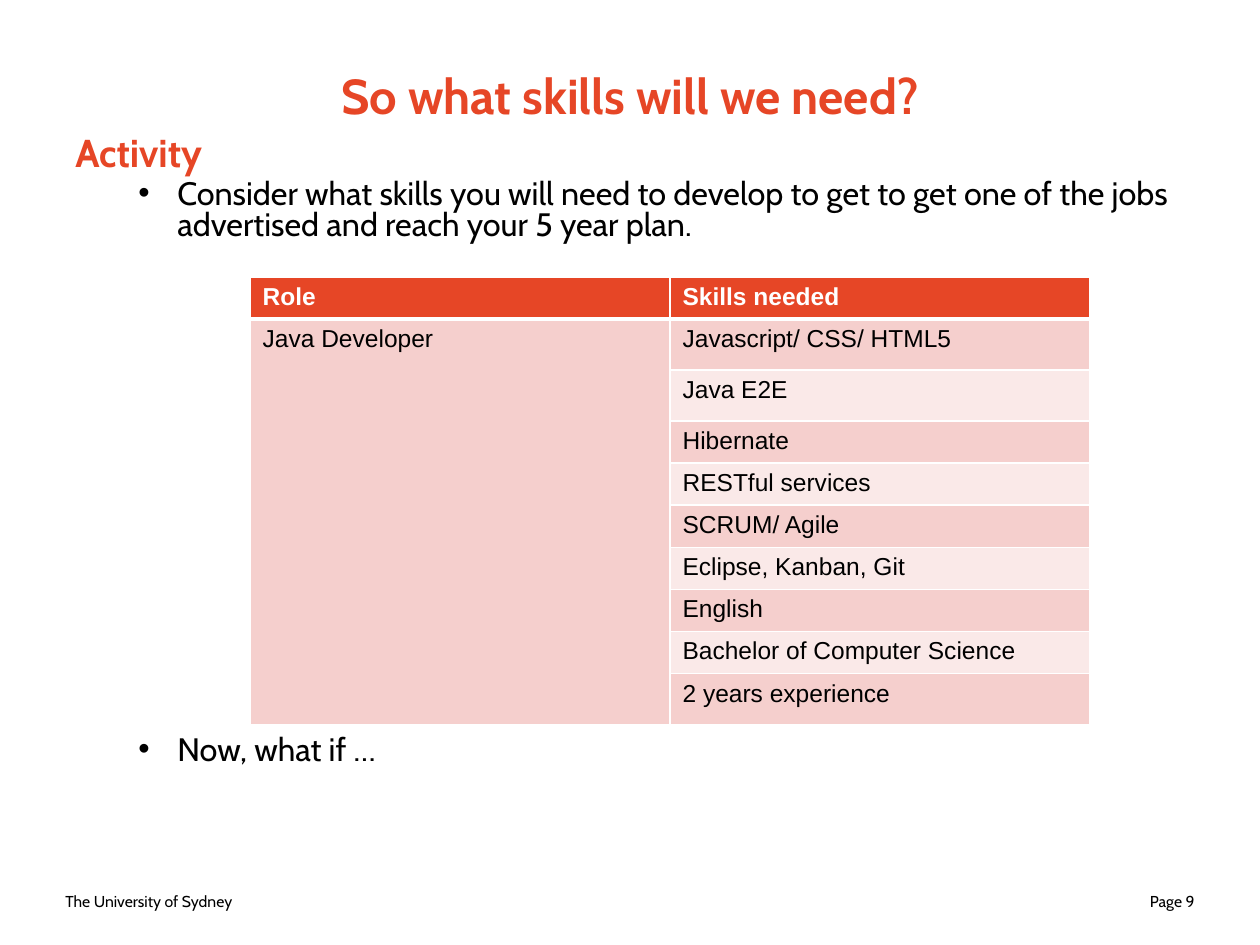
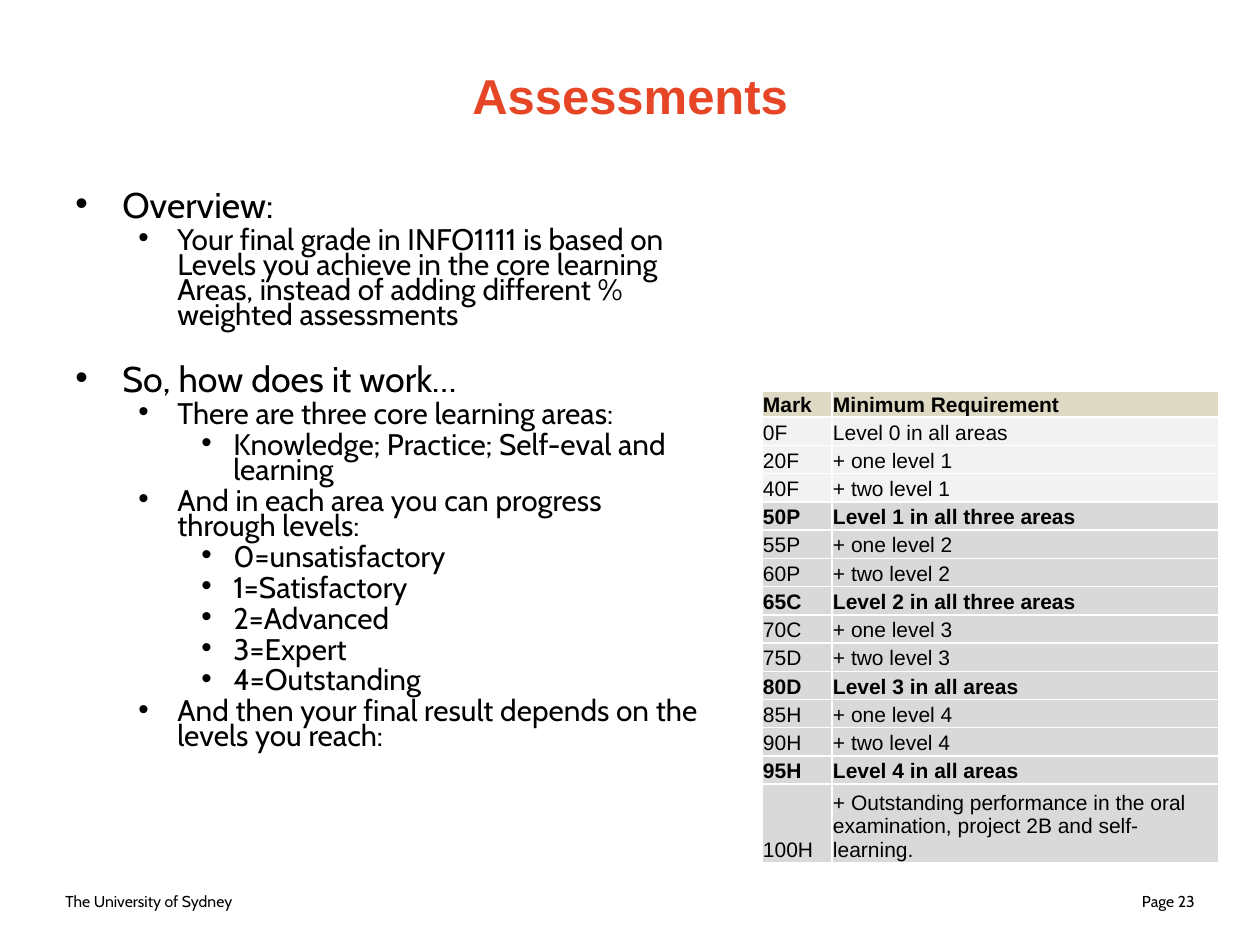
from lxml import etree
from pptx import Presentation, util as u
from pptx.dml.color import RGBColor
from pptx.enum import text
from pptx.oxml import ns

PX = 914400 / 126
RED, BLACK, WHITE = "E64626", "000000", "FFFFFF"
PINK, PALE_PINK = "F5CFCD", "FAE9E8"
SAND, PALE_GREY, GREY = "DDD9C3", "F2F2F2", "D9D9D9"
LEFT, CENTER, RIGHT = text.PP_ALIGN.LEFT, text.PP_ALIGN.CENTER, text.PP_ALIGN.RIGHT
TOP, MIDDLE, BOTTOM = text.MSO_ANCHOR.TOP, text.MSO_ANCHOR.MIDDLE, text.MSO_ANCHOR.BOTTOM

# Left margin and bullet hang of each list level, in px
INDENTS = [(47, 47), (102, 39), (158, 32)]


def px(length):
    return u.Emu(round(length * PX))


def color(value):
    return RGBColor.from_string(value)


def add_element(parent, tag, **attributes):
    element = etree.SubElement(parent, ns.qn(tag))
    for name, value in attributes.items():
        element.set(name, str(value))
    return element


class Deck:
    def __init__(self):
        self.presentation = Presentation()
        self.presentation.slide_width = px(1260)
        self.presentation.slide_height = px(945)
        self.slide = None

    def format(self, paragraph, size, tint=BLACK, bold=False, font="Cabin", align=LEFT):
        paragraph.alignment = align
        for run in paragraph.runs:
            run.font.size = u.Pt(size)
            run.font.name = font
            run.font.bold = bold
            run.font.color.rgb = color(tint)

    def new_slide(self, title, page, title_font="Cabin"):
        layout = self.presentation.slide_layouts.get_by_name("Title Only")
        self.slide = self.presentation.slides.add_slide(layout)
        shape = self.slide.shapes.title
        shape.left, shape.top, shape.width, shape.height = map(px, (63, 16, 1134, 158))
        shape.text_frame.text = title
        shape.text_frame.vertical_anchor = MIDDLE
        self.format(shape.text_frame.paragraphs[0], 28, RED, True, title_font, CENTER)
        # Footer
        self.footer(53, "The University of Sydney", LEFT)
        self.footer(914, f"Page {page}", RIGHT)

    def text_frame(self, left, top, width, height, anchor=TOP):
        box = self.slide.shapes.add_textbox(*map(px, (left, top, width, height)))
        box.text_frame.word_wrap = True
        box.text_frame.vertical_anchor = anchor
        return box.text_frame

    def footer(self, left, words, align):
        frame = self.text_frame(left, 876, 293, 50, MIDDLE)
        frame.text = words
        self.format(frame.paragraphs[0], 9, align=align)

    def outline(self, box, items, sizes, line_spacing, gaps):
        """Items are (level, words); level None is a heading without a bullet."""
        frame = self.text_frame(*box)
        for index, (level, words) in enumerate(items):
            paragraph = frame.paragraphs[0] if index == 0 else frame.add_paragraph()
            paragraph.text = words
            size = sizes[level or 0]
            if level is not None:
                self.bullet(paragraph, level)
            paragraph.line_spacing = line_spacing
            if index:
                paragraph.space_before = u.Pt(gaps.get(words, size * 0.2))
            heading = level is None
            self.format(paragraph, size, RED if heading else BLACK, heading)

    def bullet(self, paragraph, level):
        margin, hang = INDENTS[level]
        paragraph.level = level
        properties = paragraph._p.get_or_add_pPr()
        properties.set("marL", str(px(margin)))
        properties.set("indent", str(-px(hang)))
        add_element(properties, "a:buFont", typeface="Arial")
        add_element(properties, "a:buChar", char="•")

    def table(self, left, top, columns, heights, rows):
        frame = self.slide.shapes.add_table(len(rows), len(columns), px(left), px(top),
                                            px(sum(columns)), px(sum(heights)))
        table = frame.table
        table.first_row = table.horz_banding = False
        for column, width in zip(table.columns, columns):
            column.width = px(width)
        for row, height in zip(table.rows, heights):
            row.height = px(height)
        for row, values in zip(table.rows, rows):
            for cell, value in zip(row.cells, values):
                cell.text_frame.text = value
        return table

    def cell(self, cell, fill, size, tint=BLACK, bold=False, insets=None,
             anchor=TOP, top_line=1, bottom_line=1):
        properties = cell._tc.get_or_add_tcPr()
        for side, width in zip("LRTB", (1, 1, top_line, bottom_line)):
            line = add_element(properties, f"a:ln{side}", w=u.Pt(width))
            add_element(add_element(line, "a:solidFill"), "a:srgbClr", val=WHITE)
        cell.fill.solid()
        cell.fill.fore_color.rgb = color(fill)
        cell.vertical_anchor = anchor
        if insets:
            (cell.margin_left, cell.margin_top,
             cell.margin_right, cell.margin_bottom) = map(px, insets)
        self.format(cell.text_frame.paragraphs[0], size, tint, bold, "Arial")


def skills_slide(deck):
    deck.new_slide("So what skills will we need?", 9)
    last_point = "Now, what if …"
    deck.outline((63, 131, 1134, 732), [
        (None, "Activity"),
        (1, "Consider what skills you will need to develop to get to get one of the jobs "
            "advertised and reach your 5 year plan."),
        (1, last_point),
    ], sizes=[22.2, 18.5], line_spacing=0.8, gaps={last_point: 282})

    # Role and skills table
    skills = ["Javascript/ CSS/ HTML5", "Java E2E", "Hibernate", "RESTful services",
              "SCRUM/ Agile", "Eclipse, Kanban, Git", "English",
              "Bachelor of Computer Science", "2 years experience"]
    rows = [("Role", "Skills needed")]
    rows += [("" if index else "Java Developer", skill) for index, skill in enumerate(skills)]
    table = deck.table(250, 277, [420, 420], [40, 51, 51] + [40] * 6 + [51], rows)
    for index, row in enumerate(table.rows):
        for column, cell in enumerate(row.cells):
            if index == 0:
                deck.cell(cell, RED, 14, WHITE, True, bottom_line=3)
            else:
                fill = PINK if column == 0 or index % 2 else PALE_PINK
                deck.cell(cell, fill, 14, top_line=3 if index == 1 else 1)
    table.cell(1, 0).merge(table.cell(len(skills), 0))


def assessments_slide(deck):
    deck.new_slide("Assessments", 23, "Arial")
    question = "So, how does it work…"
    levels = ["unsatisfactory", "Satisfactory", "Advanced", "Expert", "Outstanding"]
    deck.outline((63, 188, 653, 634), [
        (0, "Overview:"),
        (1, "Your final grade in INFO1111 is based on Levels you achieve in the core learning "
            "Areas, instead of adding different % weighted assessments"),
        (0, question),
        (1, "There are three core learning areas:"),
        (2, "Knowledge; Practice; Self-eval and learning"),
        (1, "And in each area you can progress through levels:"),
        *[(2, f"{number}={name}") for number, name in enumerate(levels)],
        (1, "And then your final result depends on the levels you reach:"),
    ], sizes=[20.4, 17, 17], line_spacing=0.7, gaps={question: 21.8})

    # Mark table: each full level is followed by two partial steps
    marks = ["0F", "20F", "40F", "50P", "55P", "60P", "65C", "70C", "75D",
             "80D", "85H", "90H", "95H"]
    rows = [("Mark", "Minimum Requirement")]
    for index, mark in enumerate(marks):
        level, step = divmod(index, 3)
        if step:
            requirement = f"+ {('one', 'two')[step - 1]} level {level + 1}"
        else:
            areas = "all three areas" if level in (1, 2) else "all areas"
            requirement = f"Level {level} in {areas}"
        rows.append((mark, requirement))
    rows.append(("100H", "+ Outstanding performance in the oral examination, "
                         "project 2B and self-learning."))
    heights = [25] + [360 / len(marks)] * len(marks) + [75]
    table = deck.table(762, 391, [70, 387], heights, rows)
    for index, row in enumerate(table.rows):
        header = index == 0
        full_level = index > 1 and index % 3 == 1 and index <= len(marks)
        fill = SAND if header else PALE_GREY if index <= 3 else GREY
        for cell in row.cells:
            deck.cell(cell, fill, 12, bold=header or full_level, anchor=BOTTOM,
                      insets=(1, 1, 1, 0) if header else (1, 2, 1, 1))


def main():
    deck = Deck()
    skills_slide(deck)
    assessments_slide(deck)
    deck.presentation.save("out.pptx")


if __name__ == "__main__":
    main()
